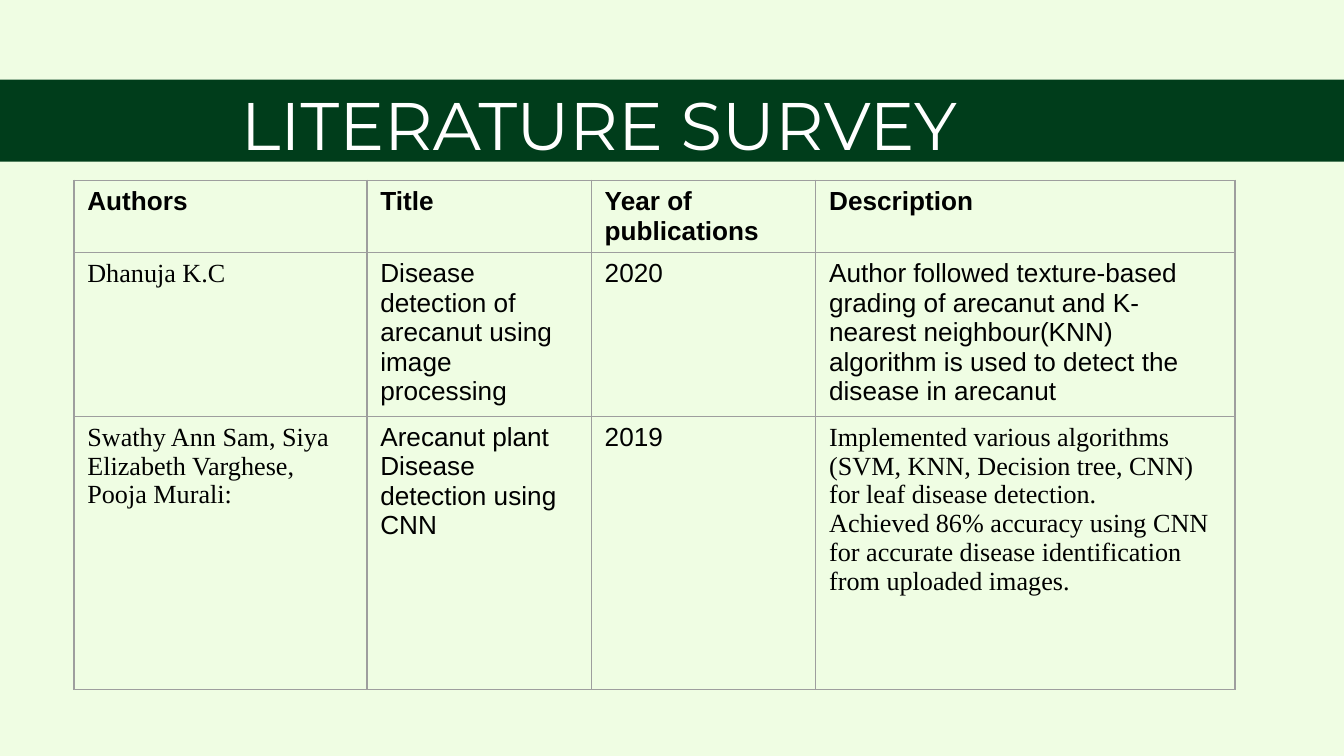
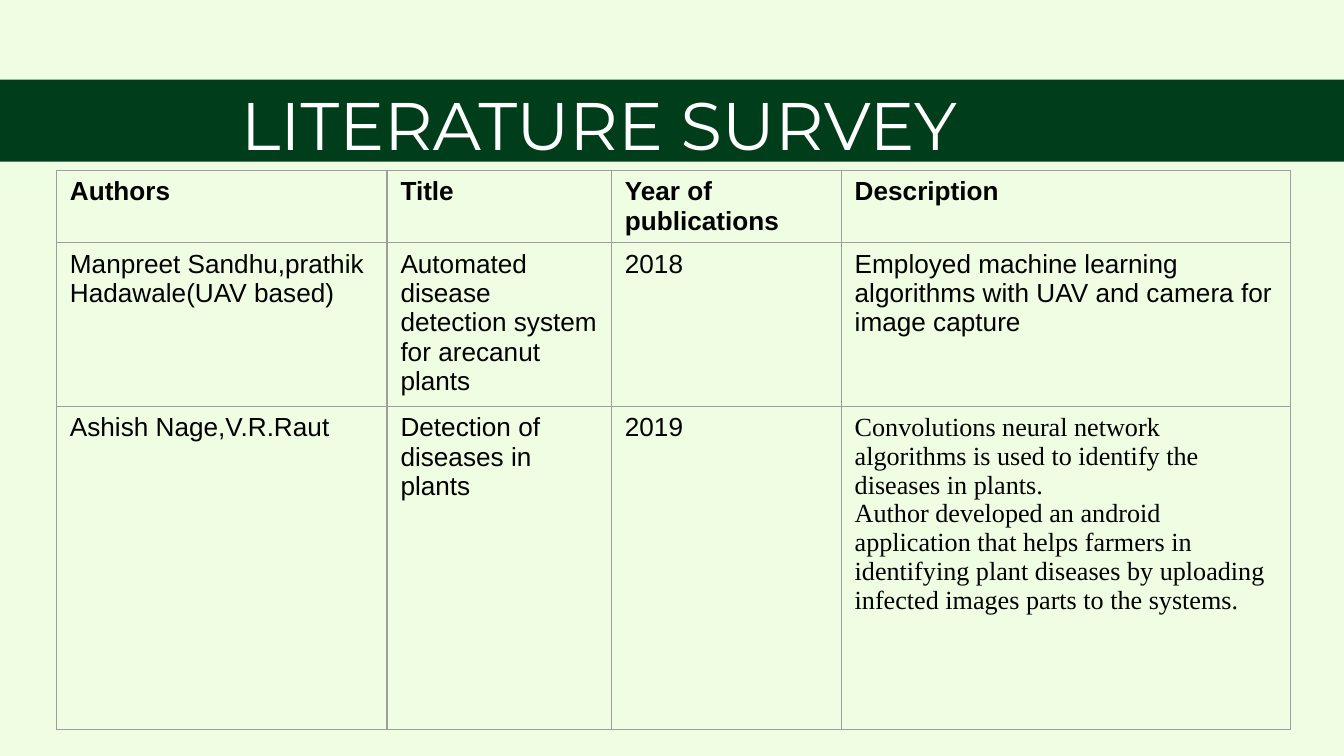
from dataclasses import dataclass

from lxml.etree import SubElement
from pptx import Presentation
from pptx.dml.color import RGBColor
from pptx.enum.shapes import MSO_SHAPE
from pptx.enum.text import MSO_ANCHOR, PP_ALIGN
from pptx.oxml.ns import qn
from pptx.util import Inches, Pt


@dataclass(frozen=True)
class Theme:
    background: str = "EFFDE3"
    band: str = "003D1B"
    title: str = "FFFFFF"
    text: str = "000000"
    border: str = "9E9E9E"
    title_font: str = "Montserrat"
    body_font: str = "Arial"
    serif_font: str = "Times New Roman"
    title_size: int = 36
    body_size: int = 14
    border_width: float = 0.75


@dataclass(frozen=True)
class Entry:
    """Text of one table cell."""
    paragraphs: tuple
    font: str = Theme.body_font


@dataclass(frozen=True)
class Survey:
    """One survey table; places and sizes are percentages of the slide."""
    left: float
    top: float
    columns: tuple
    rows: tuple
    papers: tuple


THEME = Theme()
WIDTH = Inches(10)
HEIGHT = WIDTH * 9 // 16
HEADINGS = ("Authors", "Title", "Year of publications", "Description")


def across(percent):
    return round(WIDTH * percent / 100)


def down(percent):
    return round(HEIGHT * percent / 100)


def serif(*paragraphs):
    return Entry(paragraphs, THEME.serif_font)


def set_default_font(presentation):
    """Make the body font the one that unstyled text falls back on."""
    for root in (presentation.element, presentation.slide_master.element):
        for latin in root.iter(qn("a:latin")):
            latin.set("typeface", THEME.body_font)


def add_run(paragraph, text, font, size, color, bold=False):
    run = paragraph.add_run()
    run.text = text
    run.font.name = font
    run.font.size = Pt(size)
    run.font.bold = bold
    run.font.color.rgb = RGBColor.from_string(color)


def add_band(slide):
    band = slide.shapes.add_shape(MSO_SHAPE.RECTANGLE, 0, down(10.55), WIDTH, down(10.85))
    band.shadow.inherit = False
    band.fill.solid()
    band.fill.fore_color.rgb = RGBColor.from_string(THEME.band)
    band.line.fill.background()


def add_title(slide, text):
    box = slide.shapes.add_textbox(across(6.8), down(11.7), across(75.5), down(9.3))
    frame = box.text_frame
    frame.word_wrap = True
    frame.vertical_anchor = MSO_ANCHOR.MIDDLE
    frame.margin_left = frame.margin_right = Inches(0.1)
    frame.margin_top = frame.margin_bottom = Inches(0.1)
    paragraph = frame.paragraphs[0]
    paragraph.alignment = PP_ALIGN.CENTER
    add_run(paragraph, text, THEME.title_font, THEME.title_size, THEME.title)


def add_borders(cell):
    properties = cell._tc.get_or_add_tcPr()
    for side in ("a:lnL", "a:lnR", "a:lnT", "a:lnB"):
        line = SubElement(properties, qn(side), w=str(Pt(THEME.border_width)))
        fill = SubElement(line, qn("a:solidFill"))
        SubElement(fill, qn("a:srgbClr"), val=THEME.border)


def fill_cell(cell, entry, bold):
    add_borders(cell)
    cell.fill.background()
    cell.margin_bottom = 0
    frame = cell.text_frame
    for index, text in enumerate(entry.paragraphs):
        paragraph = frame.add_paragraph() if index else frame.paragraphs[0]
        add_run(paragraph, text, entry.font, THEME.body_size, THEME.text, bold)


def remove_table_style(table):
    properties = table._tbl.tblPr
    for style in properties.findall(qn("a:tableStyleId")):
        properties.remove(style)
    table.first_row = table.horz_banding = False


def add_survey_table(slide, survey):
    lines = (HEADINGS, *survey.papers)
    table = slide.shapes.add_table(
        len(lines), len(HEADINGS), across(survey.left), down(survey.top),
        across(sum(survey.columns)), down(sum(survey.rows))).table
    remove_table_style(table)
    for column, width in zip(table.columns, survey.columns):
        column.width = across(width)
    for row, height in zip(table.rows, survey.rows):
        row.height = down(height)
    for row_index, line in enumerate(lines):
        for column_index, content in enumerate(line):
            entry = content if isinstance(content, Entry) else Entry((content,))
            fill_cell(table.cell(row_index, column_index), entry, bold=row_index == 0)


def add_survey_slide(presentation, survey):
    slide = presentation.slides.add_slide(presentation.slide_layouts[6])
    background = slide.background.fill
    background.solid()
    background.fore_color.rgb = RGBColor.from_string(THEME.background)
    add_band(slide)
    add_title(slide, "LITERATURE SURVEY")
    add_survey_table(slide, survey)


SURVEYS = (
    Survey(
        left=5.5, top=23.85, columns=(21.8, 16.7, 16.7, 31.2), rows=(9.55, 21.3, 36.2),
        papers=(
            (serif("Dhanuja K.C"),
             "Disease detection of arecanut using image processing",
             "2020",
             "Author followed texture-based grading of arecanut and K-nearest "
             "neighbour(KNN) algorithm is used to detect the disease in arecanut"),
            (serif("Swathy Ann Sam, Siya Elizabeth Varghese, Pooja Murali:"),
             "Arecanut plant Disease detection using CNN",
             "2019",
             serif("Implemented various algorithms (SVM, KNN, Decision tree, CNN) "
                   "for leaf disease detection.",
                   "Achieved 86% accuracy using CNN for accurate disease "
                   "identification from uploaded images.")),
        )),
    Survey(
        left=4.2, top=22.55, columns=(24.6, 16.7, 17.1, 33.4), rows=(9.55, 21.3, 42.8),
        papers=(
            ("Manpreet Sandhu,prathik Hadawale(UAV based)",
             "Automated disease detection system for arecanut plants",
             "2018",
             "Employed machine learning algorithms with UAV and camera for image capture"),
            ("Ashish Nage,V.R.Raut",
             "Detection of diseases in plants",
             "2019",
             serif("Convolutions neural network algorithms is used to identify the "
                   "diseases in plants.",
                   "Author developed an android application that helps farmers in "
                   "identifying plant diseases by uploading infected images parts "
                   "to the systems.")),
        )),
)


def main():
    presentation = Presentation()
    presentation.slide_width, presentation.slide_height = WIDTH, HEIGHT
    set_default_font(presentation)
    for survey in SURVEYS:
        add_survey_slide(presentation, survey)
    presentation.save("out.pptx")


if __name__ == "__main__":
    main()
